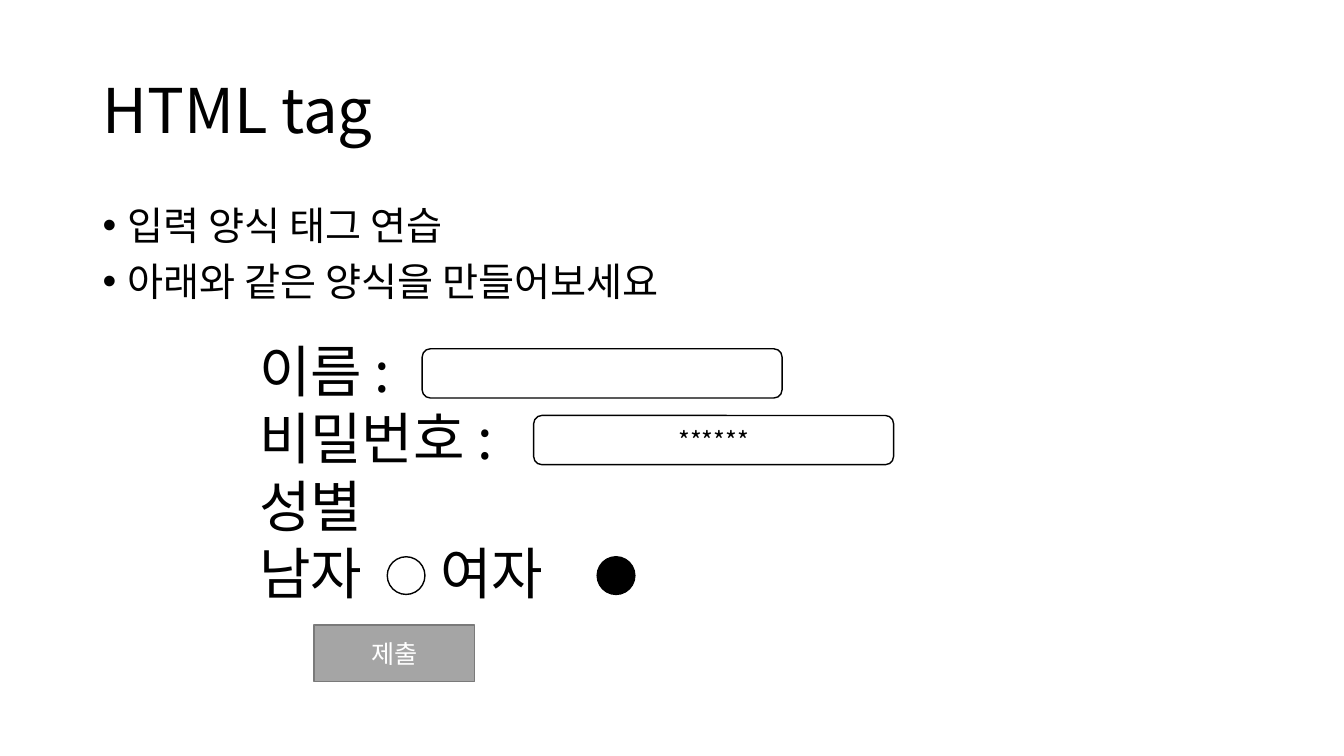
"""Build the HTML tag slide: a form exercise with two fields, a choice and a button."""
from dataclasses import dataclass

from lxml import etree
from pptx import Presentation
from pptx import util as u
from pptx.dml.color import RGBColor
from pptx.enum import shapes, text
from pptx.oxml.ns import qn


@dataclass(frozen=True)
class Theme:
    font: str = "Noto Sans CJK KR"
    black: str = "000000"
    white: str = "FFFFFF"
    gray: str = "A5A5A5"
    edge: str = "7A7A7A"
    title: int = 44
    body: int = 28
    form: int = 40
    small: int = 18


look = Theme()


def write(para, words, size, color=look.black):
    run = para.add_run()
    run.text = words
    run.font.name = look.font
    run.font.size = u.Pt(size)
    run.font.color.rgb = RGBColor.from_string(color)
    east = etree.Element(qn("a:ea"), typeface=look.font)
    run.font._element.find(qn("a:latin")).addnext(east)


def draw(kind, box, fill, edge=None):
    shape = slide.shapes.add_shape(kind, *map(u.Cm, box))
    shape.shadow.inherit = False
    shape.fill.solid()
    shape.fill.fore_color.rgb = RGBColor.from_string(fill)
    if edge:
        shape.line.color.rgb = RGBColor.from_string(edge)
        shape.line.width = u.Pt(1)
    else:
        shape.line.fill.background()
    return shape


deck = Presentation()
deck.slide_width = u.Cm(33.87)
deck.slide_height = u.Cm(19.05)
slide = deck.slides.add_slide(deck.slide_layouts[1])

title, body = slide.placeholders
for holder, top, high in ((title, 1.01, 3.68), (body, 5.07, 12.09)):
    holder.left, holder.top = u.Cm(2.33), u.Cm(top)
    holder.width, holder.height = u.Cm(29.21), u.Cm(high)
    holder.text_frame.auto_size = text.MSO_AUTO_SIZE.NONE

title.text_frame.vertical_anchor = text.MSO_ANCHOR.MIDDLE
head = title.text_frame.paragraphs[0]
head.alignment = text.PP_ALIGN.LEFT
head.line_spacing = 0.9
write(head, "HTML tag", look.title)

items = ("입력 양식 태그 연습", "아래와 같은 양식을 만들어보세요")
for i, item in enumerate(items):
    para = body.text_frame.add_paragraph() if i else body.text_frame.paragraphs[0]
    para.line_spacing = 0.9
    para.space_before = u.Pt(10)
    props = para._p.get_or_add_pPr()
    props.set("marL", str(u.Cm(0.64)))
    props.set("indent", str(u.Cm(-0.64)))
    write(para, item, look.body)

kinds = shapes.MSO_SHAPE
form = draw(kinds.RECTANGLE, (6.28, 8.36, 18.85, 8.81), look.white).text_frame
form.word_wrap = True
form.vertical_anchor = text.MSO_ANCHOR.TOP
for i, label in enumerate(("이름 :", "비밀번호 :", "성별", "남자\t여자")):
    para = form.add_paragraph() if i else form.paragraphs[0]
    para.alignment = text.PP_ALIGN.LEFT
    if "\t" in label:
        tabs = etree.SubElement(para._p.get_or_add_pPr(), qn("a:tabLst"))
        etree.SubElement(tabs, qn("a:tab"), pos=str(u.Cm(4.57)), algn="l")
    write(para, label, look.form)

send = draw(kinds.RECTANGLE, (7.91, 15.75, 4.05, 1.43), look.gray, look.edge)
for left, fill in ((9.76, look.white), (15.05, look.black)):
    draw(kinds.OVAL, (left, 14.03, 0.95, 0.95), fill, look.black)
secret, name = [
    draw(kinds.ROUNDED_RECTANGLE, (left, top, 9.07, 1.24), look.white, look.black)
    for left, top in ((13.45, 10.47), (10.64, 8.79))
]

for shape, words, color in ((send, "제출", look.white), (secret, "******", look.black)):
    shape.text_frame.vertical_anchor = text.MSO_ANCHOR.MIDDLE
    para = shape.text_frame.paragraphs[0]
    para.alignment = text.PP_ALIGN.CENTER
    write(para, words, look.small, color)

deck.save("out.pptx")
